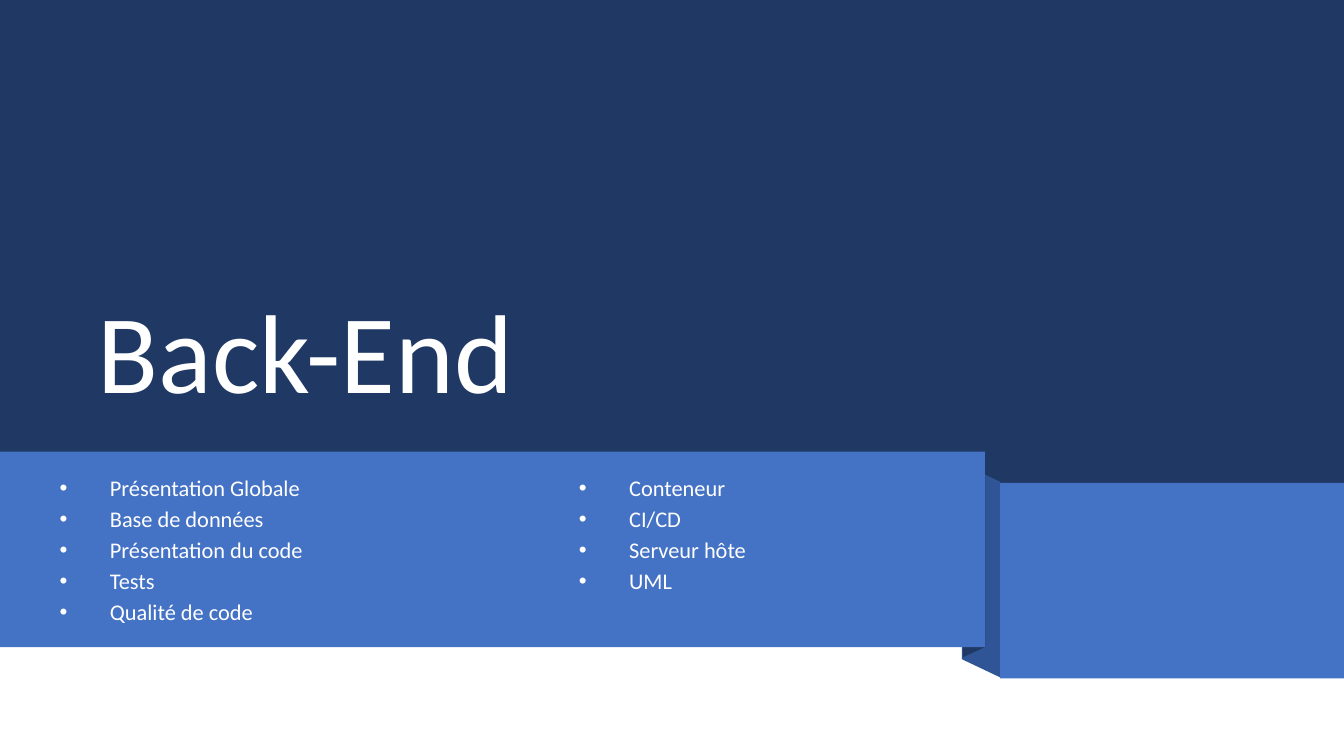
from dataclasses import dataclass
from lxml.etree import SubElement
from pptx import Presentation
from pptx.dml.color import RGBColor
from pptx.enum.shapes import MSO_SHAPE
from pptx.enum.text import MSO_ANCHOR, MSO_AUTO_SIZE, PP_ALIGN
from pptx.oxml.ns import qn
from pptx.util import Inches, Pt


@dataclass(frozen=True)
class Theme:
    """Colours, font and type sizes of the deck."""
    navy: str = "203864"
    shade: str = "2F5597"
    blue: str = "4472C4"
    white: str = "FFFFFF"
    font: str = "Calibri"
    title: int = 80
    item: int = 16


THEME = Theme()


def paint(shape, color):
    """Give a shape a flat fill without line or shadow."""
    shape.shadow.inherit = False
    shape.fill.solid()
    shape.fill.fore_color.rgb = RGBColor.from_string(color)
    shape.line.fill.background()


def block(slide, box, color):
    """Draw a plain rectangle in the box."""
    area = [Inches(n) for n in box]
    paint(slide.shapes.add_shape(MSO_SHAPE.RECTANGLE, *area), color)


def fold(slide, box, left, right, color):
    """Draw a slanted strip, its left and right sides lowered by the given drops."""
    x, y, wide, high = box
    points = [(x, y + left), (x + wide, y + right),
              (x + wide, y + right + high), (x, y + left + high)]
    points = [(Inches(a), Inches(b)) for a, b in points]
    form = slide.shapes.build_freeform(*points[0])
    form.add_line_segments(points[1:], close=True)
    paint(form.convert_to_shape(), color)


def write(holder, box, lines, size, anchor=MSO_ANCHOR.TOP, bullet=None, gap=0):
    """Place a holder in front and fill it with formatted lines."""
    holder.left, holder.top, holder.width, holder.height = map(Inches, box)
    holder.element.getparent().append(holder.element)
    frame = holder.text_frame
    frame.text = "\n".join(lines)
    frame.word_wrap = True
    frame.auto_size = MSO_AUTO_SIZE.NONE
    frame.vertical_anchor = anchor
    for rank, para in enumerate(frame.paragraphs):
        if bullet:
            para.level = 1
            props = para._p.get_or_add_pPr()
            props.set("marL", str(Inches(1)))
            props.set("indent", str(Inches(-0.5)))
            SubElement(props, qn("a:buFont"), typeface="Arial")
            SubElement(props, qn("a:buChar"), char=bullet)
        para.alignment = PP_ALIGN.LEFT
        para.line_spacing = 0.9
        para.space_before = Pt(gap if rank else 0)
        para.font.name = THEME.font
        para.font.size = Pt(size)
        para.font.color.rgb = RGBColor.from_string(THEME.white)


def header(slide, box, title):
    """Build the dark top region with its large title."""
    x, y, wide, high = box
    block(slide, box, THEME.navy)
    write(slide.shapes.title, (x + 0.87, y + 0.7, 9.05, 3.49), [title],
          THEME.title, anchor=MSO_ANCHOR.BOTTOM)


def ribbon(slide, box, lists):
    """Build the folded ribbon with one bullet list per column."""
    x, y, wide, high = box
    front, tail = 9.77, 9.92
    fold(slide, (x + 9.54, y + 0.12, 0.38, high), 0, 0.18, THEME.shade)
    fold(slide, (x + 9.55, y, front - 9.55, high), 0.1, 0, THEME.navy)
    block(slide, (x, y, front, high), THEME.blue)
    block(slide, (x + tail, y + 0.31, wide - tail, high), THEME.blue)
    columns = [(-0.01, 4.79), (5.14, 3.38)]
    bodies = list(slide.placeholders)[1:]
    for body, (left, span), items in zip(bodies, columns, lists):
        write(body, (x + left, y + 0.2, span, 1.4), items, THEME.item,
              bullet="•", gap=5)


def main():
    """Build and save the section slide."""
    deck = Presentation()
    deck.slide_width, deck.slide_height = Inches(13.33), Inches(7.5)
    slide = deck.slides.add_slide(deck.slide_layouts.get_by_name("Two Content"))
    header(slide, (0, 0, 13.33, 4.98), "Back-End")
    ribbon(slide, (0, 4.48, 13.33, 1.94), [
        ["Présentation Globale", "Base de données", "Présentation du code",
         "Tests", "Qualité de code"],
        ["Conteneur", "CI/CD", "Serveur hôte", "UML"],
    ])
    deck.save("out.pptx")


if __name__ == "__main__":
    main()
